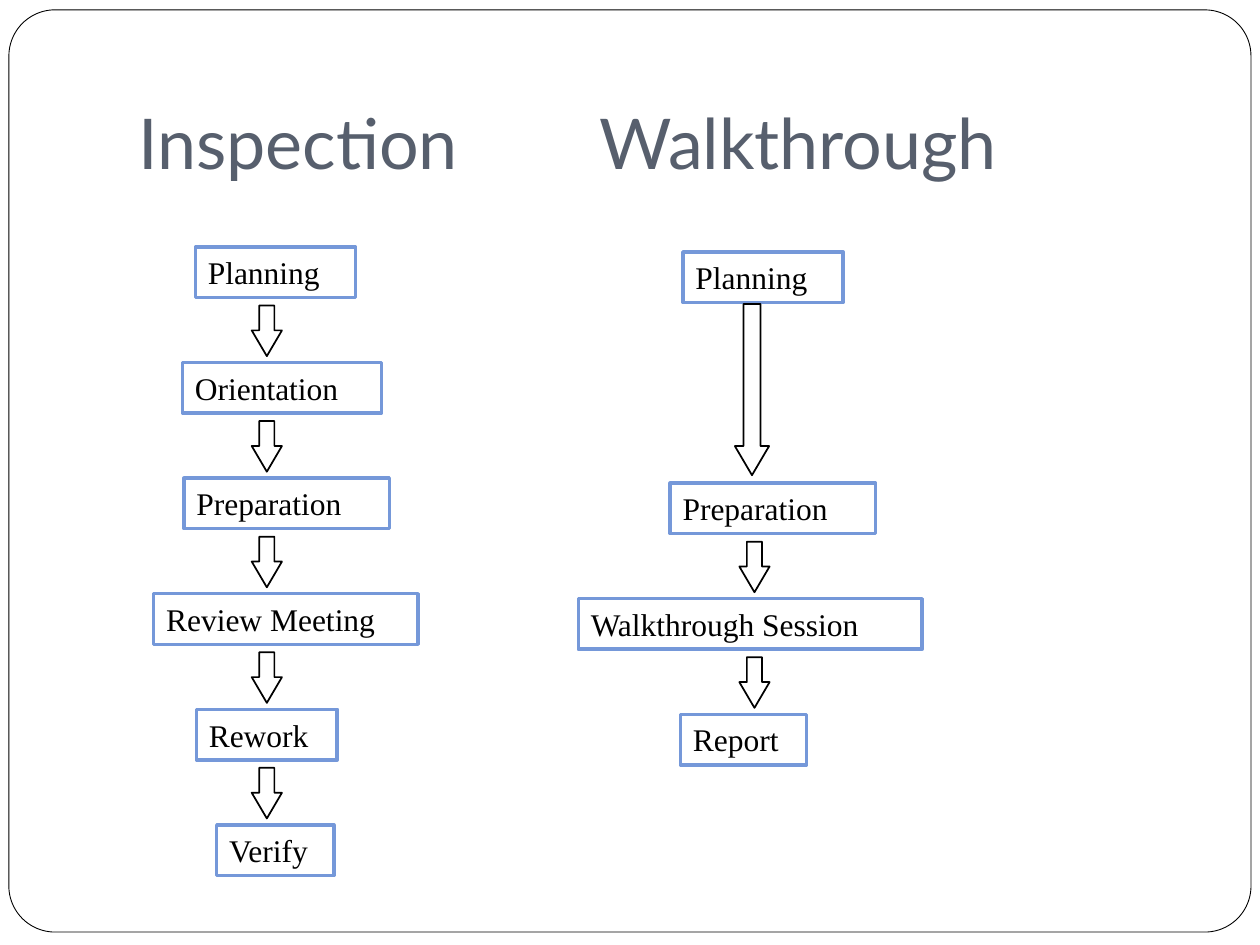
from lxml.etree import SubElement
from pptx import Presentation
from pptx.dml.color import RGBColor
from pptx.enum.shapes import MSO_SHAPE as Shape
from pptx.enum.text import MSO_ANCHOR as Anchor, PP_ALIGN as Align
from pptx.oxml.ns import qn
from pptx.util import Cm, Pt

WHITE = RGBColor(0xFF, 0xFF, 0xFF)
BLACK = RGBColor(0, 0, 0)
SLATE = RGBColor(0x57, 0x5F, 0x6D)
BLUE = RGBColor(0x75, 0x98, 0xD9)

TITLE_FONT = {"name": "Lato", "size": Pt(40)}
STEP_FONT = {"name": "Times New Roman", "size": Pt(18)}

ROW_PITCH = 2.33
STEP_HEIGHT = 1.02
ARROW_GAP = 1.18

# Each step: row, left within the column, width, label
INSPECTION_STEPS = [
    (0, 0.84, 3.23, "Planning"),
    (1, 0.58, 4.01, "Orientation"),
    (2, 0.61, 4.14, "Preparation"),
    (3, 0, 5.33, "Review Meeting"),
    (4, 0.86, 2.84, "Rework"),
    (5, 1.27, 2.36, "Verify"),
]
WALKTHROUGH_STEPS = [
    (0, 2.11, 3.23, "Planning"),
    (2, 1.85, 4.14, "Preparation"),
    (3, 0, 6.93, "Walkthrough Session"),
    (4, 2.06, 2.54, "Report"),
]


def add_outlined(slide, kind, left, top, width, height, color, weight, fill=None):
    """Add a preset shape measured in centimetres, unfilled unless fill is given."""
    shape = slide.shapes.add_shape(kind, Cm(left), Cm(top), Cm(width), Cm(height))
    shape.shadow.inherit = False
    shape.line.color.rgb = color
    shape.line.width = Pt(weight)
    if fill is None:
        shape.fill.background()
    else:
        shape.fill.solid()
        shape.fill.fore_color.rgb = fill
    return shape


def write_text(shape, text, font, color, anchor):
    frame = shape.text_frame
    frame.word_wrap = True
    frame.vertical_anchor = anchor
    paragraph = frame.paragraphs[0]
    paragraph.alignment = Align.LEFT
    run = paragraph.add_run()
    run.text = text
    for name, value in font.items():
        setattr(run.font, name, value)
    run.font.color.rgb = color
    return paragraph


def add_frame(slide, left, top, width, height):
    frame = add_outlined(slide, Shape.ROUNDED_RECTANGLE, left, top, width, height,
                         BLACK, 0.5, WHITE)
    frame.adjustments[0] = 0.05


def add_title(slide, left, top, width, height, second_heading):
    """Write both headings on one line, the second at a tab stop."""
    box = slide.shapes.add_textbox(Cm(left), Cm(top), Cm(width), Cm(height))
    box.text_frame.margin_bottom = Cm(0.25)
    paragraph = write_text(box, "Inspection\tWalkthrough", TITLE_FONT, SLATE,
                           Anchor.BOTTOM)
    tabs = SubElement(paragraph._p.get_or_add_pPr(), qn("a:tabLst"))
    SubElement(tabs, qn("a:tab"), pos=str(Cm(second_heading)), algn="l")


def add_arrow(slide, center, top, width, height):
    arrow = add_outlined(slide, Shape.DOWN_ARROW, center - width / 2, top,
                         width, height, BLACK, 1, WHITE)
    arrow.adjustments[0] = 0.5
    arrow.adjustments[1] = 0.85


def add_flow(slide, left, top, arrow_center, steps):
    """Stack the steps by row and join each to the next with an arrow."""
    for row, offset, width, label in steps:
        step = add_outlined(slide, Shape.RECTANGLE, left + offset,
                            top + row * ROW_PITCH, width, STEP_HEIGHT, BLUE, 2)
        write_text(step, label, STEP_FONT, BLACK, Anchor.TOP)

    for (row, *_), (next_row, *_) in zip(steps, steps[1:]):
        arrow_top = top + row * ROW_PITCH
        if next_row - row == 1:
            add_arrow(slide, left + arrow_center, arrow_top + ARROW_GAP, 0.61, 1.02)
        else:
            add_arrow(slide, left + arrow_center - 0.05, arrow_top + 1.05, 0.69, 3.45)


def main():
    presentation = Presentation()
    presentation.slide_width = Cm(25.4)
    presentation.slide_height = Cm(19.05)
    slide = presentation.slides.add_slide(presentation.slide_layouts[6])

    add_frame(slide, 0.18, 0.2, 25.04, 18.59)
    add_title(slide, 2.54, 0.76, 21.59, 3.18, second_heading=9.3)
    add_flow(slide, 3.1, 4.98, 2.28, INSPECTION_STEPS)
    add_flow(slide, 11.66, 5.08, 3.55, WALKTHROUGH_STEPS)

    presentation.save("out.pptx")


if __name__ == "__main__":
    main()
